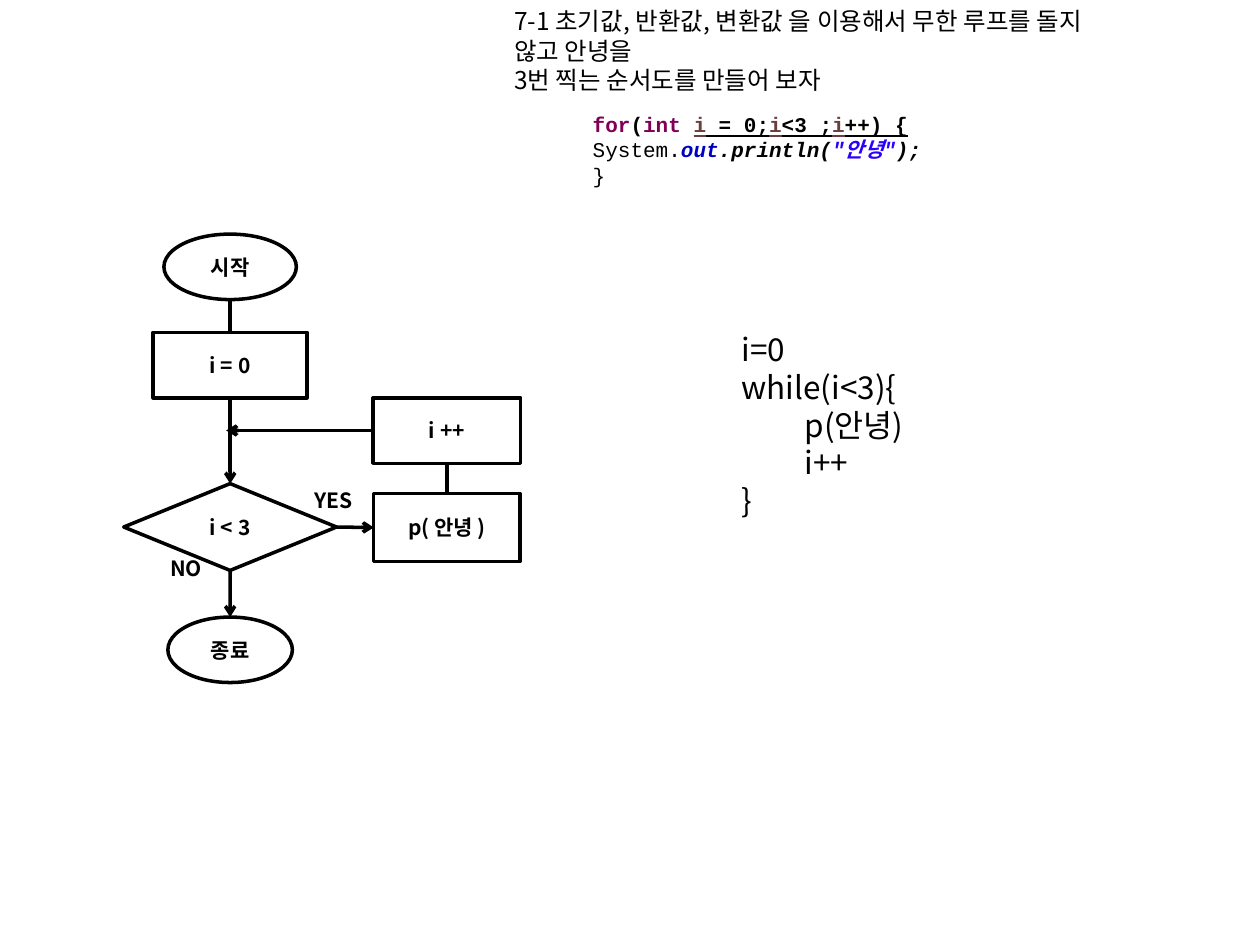
from dataclasses import dataclass

from lxml.etree import SubElement
from pptx import Presentation
from pptx.dml.color import RGBColor
from pptx.enum.shapes import MSO_CONNECTOR as LINE, MSO_SHAPE as SHAPE
from pptx.enum.text import MSO_ANCHOR as ANCHOR, MSO_AUTO_SIZE as AUTO, PP_ALIGN as ALIGN
from pptx.oxml.ns import qn
from pptx.util import Cm, Pt


@dataclass(frozen=True)
class Theme:
    ink: str = "000000"
    paper: str = "FFFFFF"
    keyword: str = "7F0055"
    variable: str = "6A3E3E"
    field: str = "0000C0"
    string: str = "2A00FF"
    sans: str = "Noto Sans CJK KR"
    mono: str = "Courier New"
    title: int = 14
    body: int = 18
    label: int = 12
    stroke: int = 2


T = Theme()
rgb = RGBColor.from_string


def style(p, size, font=T.sans, bold=False, align=ALIGN.LEFT):
    p.alignment = align
    p.font.name, p.font.size, p.font.bold = font, Pt(size), bold
    p.font.color.rgb = rgb(T.ink)
    # Hangul takes its face from the East Asian slot
    SubElement(p._p.pPr.find(qn("a:defRPr")), qn("a:ea"), typeface=T.sans)


def write(tf, text, size, **kwargs):
    tf.text = text
    for p in tf.paragraphs:
        style(p, size, **kwargs)


def add_text(s, x, y, w, h):
    tf = s.shapes.add_textbox(Cm(x), Cm(y), Cm(w), Cm(h)).text_frame
    tf.word_wrap = True
    return tf


def add_heading(s, x, y, w, h):
    sp = s.shapes.title
    sp.left, sp.top, sp.width, sp.height = Cm(x), Cm(y), Cm(w), Cm(h)
    tf = sp.text_frame
    tf.word_wrap, tf.auto_size, tf.vertical_anchor = True, AUTO.NONE, ANCHOR.TOP
    write(tf, "7-1 초기값, 반환값, 변환값 을 이용해서 무한 루프를 돌지 않고 안녕을\n"
              "3번 찍는 순서도를 만들어 보자", T.title)


def add_java_code(s, x, y, w, h):
    """Each run is text, colour and flags: b bold, i italic, u underlined."""
    lines = [
        [("for", T.keyword, "b"), ("(", T.ink, "b"), ("int ", T.keyword, "b"),
         ("i", T.variable, "bu"), (" = 0;", T.ink, "bu"),
         ("i", T.variable, "bu"), ("<3 ;", T.ink, "bu"),
         ("i", T.variable, "bu"), ("++) {", T.ink, "bu")],
        [("System.", T.ink, ""), ("out", T.field, "bi"), (".println(", T.ink, "bi"),
         ('"안녕"', T.string, "bi"), (");", T.ink, "bi")],
        [("}", T.ink, "")],
    ]
    tf = add_text(s, x, y, w, h)
    for n, line in enumerate(lines):
        p = tf.add_paragraph() if n else tf.paragraphs[0]
        style(p, T.label, T.mono)
        for text, colour, flags in line:
            r = p.add_run()
            r.text = text
            r.font.color.rgb = rgb(colour)
            r.font.bold, r.font.italic, r.font.underline = (f in flags for f in "biu")


def add_pseudocode(s, x, y, w, h):
    write(add_text(s, x, y, w, h), "i=0\nwhile(i<3){\n\tp(안녕)\n\ti++\n}", T.body)


def add_node(s, kind, text, cx, y, w, h, filled=False):
    """Place a flowchart node centred on cx."""
    sp = s.shapes.add_shape(kind, Cm(cx - w / 2), Cm(y), Cm(w), Cm(h))
    sp.shadow.inherit = False
    if filled:
        sp.fill.solid()
        sp.fill.fore_color.rgb = rgb(T.paper)
    else:
        sp.fill.background()
    sp.line.color.rgb, sp.line.width = rgb(T.ink), Pt(T.stroke)
    sp.text_frame.vertical_anchor = ANCHOR.MIDDLE
    write(sp.text_frame, text, T.label, bold=True, align=ALIGN.CENTER)
    return sp


def add_arrow(s, kind, x1=0, y1=0, x2=0, y2=0):
    c = s.shapes.add_connector(kind, Cm(x1), Cm(y1), Cm(x2), Cm(y2))
    c.line.color.rgb, c.line.width = rgb(T.ink), Pt(T.stroke)
    SubElement(c.line._get_or_add_ln(), qn("a:tailEnd"), type="arrow")
    SubElement(c._element.spPr, qn("a:effectLst"))
    return c


def join(s, start, start_site, end, end_site):
    c = add_arrow(s, LINE.STRAIGHT)
    c.begin_connect(start, start_site)
    c.end_connect(end, end_site)


def add_loop_back(s, x1, y1, x2, y2):
    """Go up from (x1, y1), then left to an arrowhead at (x2, y2)."""
    cx, cy, rise, run = (x1 + x2) / 2, (y1 + y2) / 2, y1 - y2, x1 - x2
    c = add_arrow(s, LINE.ELBOW, cx - rise / 2, cy + run / 2, cx + rise / 2, cy - run / 2)
    c._element.spPr.find(qn("a:xfrm")).set("rot", "16200000")
    c._element.spPr.find(qn("a:prstGeom")).set("prst", "bentConnector2")


def add_flowchart(s, x, y, w, h):
    main, loop, node_h = x + 2.15, x + w - 1.49, 1.32
    print_y = y + 5.23
    step_y = y + 3.3
    test_y = y + 5.03

    add_node(s, SHAPE.OVAL, "시작", main, y, 2.67, node_h)
    test = add_node(s, SHAPE.FLOWCHART_DECISION, "i < 3", main, test_y, 4.29, 1.75)
    end = add_node(s, SHAPE.OVAL, "종료", main, y + h - node_h, 2.51, node_h)
    body = add_node(s, SHAPE.FLOWCHART_PROCESS, "p( 안녕 )", loop, print_y, 2.95, 1.37)

    entry = add_arrow(s, LINE.STRAIGHT, main, y + node_h, main, test_y)
    entry.end_connect(test, 0)
    join(s, test, 2, end, 0)
    join(s, test, 3, body, 1)
    add_loop_back(s, loop, print_y, main - 0.08, step_y + node_h / 2)

    # These cover the lines that run behind them
    add_node(s, SHAPE.FLOWCHART_PROCESS, "i ++", loop, step_y, 2.97, node_h, True)
    add_node(s, SHAPE.FLOWCHART_PROCESS, "i = 0", main, y + 1.98, 3.1, node_h, True)

    for text, dx, dy in (("NO", 0.69, 6.35), ("YES", 3.6, 4.98)):
        write(add_text(s, x + dx, y + dy, 2.05, 0.84), text, T.label, bold=True)


def main():
    prs = Presentation()
    prs.slide_width, prs.slide_height = Cm(25.4), Cm(19.05)
    s = prs.slides.add_slide(prs.slide_layouts[5])
    add_heading(s, 10.11, 0, 12.7, 2.06)
    add_java_code(s, 11.7, 2.13, 12.7, 1.8)
    add_flowchart(s, 2.49, 4.72, 8.01, 9.04)
    add_pseudocode(s, 14.7, 6.53, 10.5, 4.11)
    prs.save("out.pptx")


if __name__ == "__main__":
    main()
